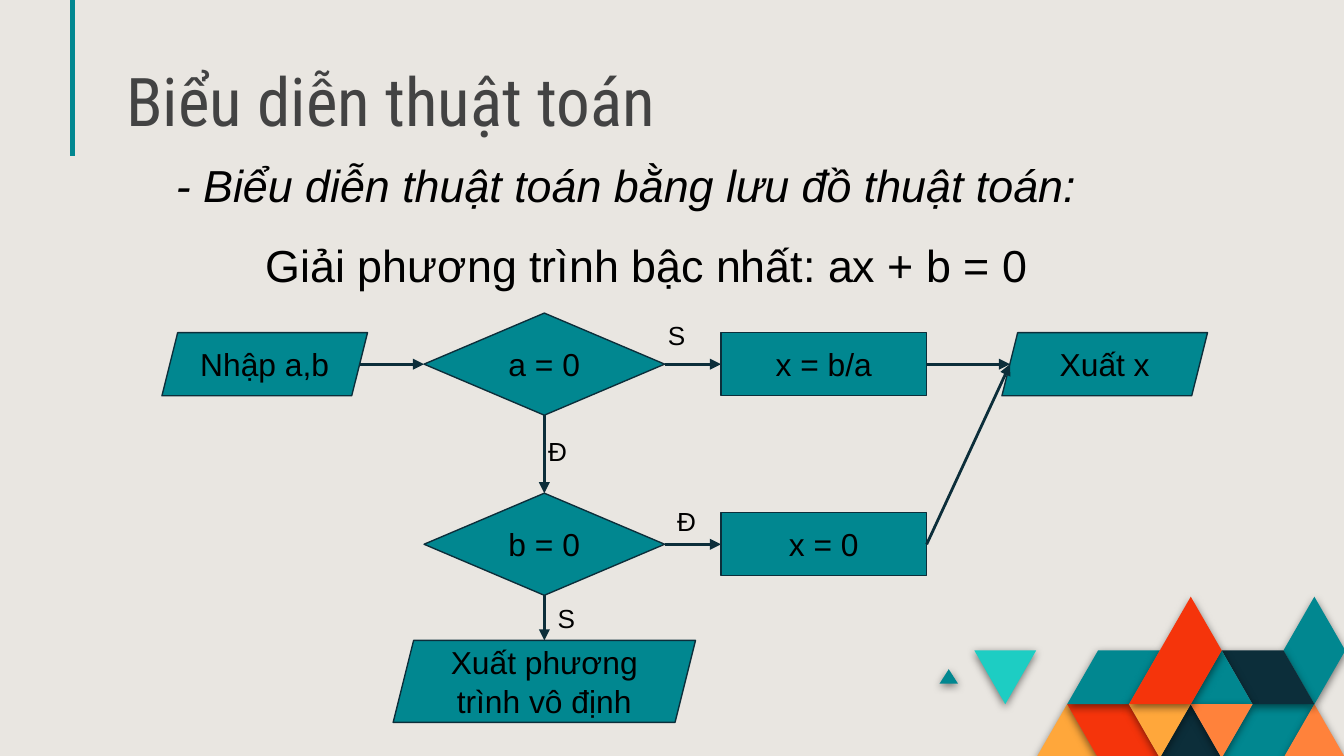
from lxml import etree
from pptx import Presentation, util as u
from pptx.dml.color import RGBColor
from pptx.enum import shapes, text
from pptx.oxml import ns

TEAL = RGBColor(0x01, 0x87, 0x90)
AQUA = RGBColor(0x1D, 0xCD, 0xC3)
NAVY = RGBColor(0x0C, 0x2E, 0x3A)
RED = RGBColor(0xF5, 0x34, 0x0B)
ORANGE = RGBColor(0xFF, 0x82, 0x3B)
AMBER = RGBColor(0xFF, 0xA7, 0x3B)
GREY = RGBColor(0x43, 0x43, 0x43)
BLACK = RGBColor(0, 0, 0)
SAND = RGBColor(0xE9, 0xE6, 0xE1)

# A 16:9 slide
presentation = Presentation()
presentation.slide_width = u.Inches(10)
presentation.slide_height = u.Inches(10) * 9 // 16
slide = presentation.slides.add_slide(presentation.slide_layouts[6])
slide.background.fill.solid()
slide.background.fill.fore_color.rgb = SAND


def add_line(start, end, color, width, arrow=False):
    points = [u.Inches(value) for value in (*start, *end)]
    connector = slide.shapes.add_connector(shapes.MSO_CONNECTOR.STRAIGHT, *points)
    connector.line.color.rgb = color
    connector.line.width = u.Pt(width)
    if arrow:
        line = connector.line._get_or_add_ln()
        etree.SubElement(line, ns.qn("a:tailEnd"), type="triangle")
    etree.SubElement(connector._element.spPr, ns.qn("a:effectLst"))


def set_text(shape, words, size, font="Arial", color=BLACK, align=text.PP_ALIGN.LEFT,
             anchor=text.MSO_ANCHOR.TOP, italic=False):
    frame = shape.text_frame
    frame.text = words
    frame.word_wrap = True
    frame.vertical_anchor = anchor
    frame.margin_left = frame.margin_right = u.Inches(0.1)
    frame.margin_top = frame.margin_bottom = u.Inches(0.1)
    paragraph = frame.paragraphs[0]
    paragraph.alignment = align
    style = paragraph.runs[0].font
    style.name, style.size, style.italic = font, u.Pt(size), italic
    style.color.rgb = color


# Accent line beside the title
add_line((0.54, 0), (0.54, 1.16), TEAL, 2.25)

# Mosaic: corners are (half-triangle column, row) on a triangular grid
HALF, ROW = 0.23, 0.4
MOSAIC_LEFT, MOSAIC_TOP = 7.71, 4.44
mosaic = [
    (AMBER, [(0, 3), (1, 2), (2, 3)]),
    (RED, [(1, 2), (3, 2), (4, 3), (2, 3)]),
    (TEAL, [(6, 3), (7, 2), (9, 2), (8, 3)]),
    (ORANGE, [(8, 3), (9, 2), (10, 3)]),
    (NAVY, [(4, 3), (5, 2), (6, 3)]),
    (TEAL, [(1, 2), (2, 1), (4, 1), (3, 2)]),
    (TEAL, [(-3.13, 1.62), (-2.83, 1.35), (-2.53, 1.62)]),
    (AQUA, [(-2, 1), (0, 1), (-1, 2)]),
    (TEAL, [(8, 1), (9, 0), (10, 1), (9, 2)]),
    (NAVY, [(6, 1), (8, 1), (9, 2), (7, 2)]),
    (TEAL, [(5, 2), (6, 1), (7, 2)]),
    (ORANGE, [(5, 2), (7, 2), (6, 3)]),
    (AMBER, [(3, 2), (5, 2), (4, 3)]),
    (RED, [(3, 2), (5, 0), (6, 1), (5, 2)]),
]
for color, corners in mosaic:
    points = [(u.Inches(MOSAIC_LEFT + column * HALF), u.Inches(MOSAIC_TOP + row * ROW))
              for column, row in corners]
    builder = slide.shapes.build_freeform(*points[0])
    builder.add_line_segments(points[1:], close=True)
    tile = builder.convert_to_shape()
    tile.fill.solid()
    tile.fill.fore_color.rgb = color
    tile.line.fill.background()
    effects = etree.SubElement(tile._element.spPr, ns.qn("a:effectLst"))
    shadow = etree.SubElement(effects, ns.qn("a:outerShdw"), blurRad=str(u.Pt(4.5)),
                              dist=str(u.Pt(1.5)), dir="5400000", algn="bl", rotWithShape="0")
    shade = etree.SubElement(shadow, ns.qn("a:srgbClr"), val="000000")
    etree.SubElement(shade, ns.qn("a:alpha"), val="50000")

# Title, introduction and branch labels
JUSTIFY = text.PP_ALIGN.JUSTIFY
labels = [
    ("Biểu diễn thuật toán", (0.84, 0.51, 5.36, 0.63),
     dict(size=36, font="Roboto Condensed", color=GREY, anchor=text.MSO_ANCHOR.BOTTOM)),
    ("- Biểu diễn thuật toán bằng lưu đồ thuật toán:", (1.21, 1.07, 7.59, 0.6),
     dict(size=24, align=JUSTIFY, italic=True)),
    ("Giải phương trình bậc nhất: ax + b = 0", (1.88, 1.67, 7.59, 0.6),
     dict(size=24, align=JUSTIFY)),
]
for letter, left, top in [("S", 4.87, 2.28), ("Đ", 3.98, 3.14),
                          ("Đ", 4.94, 3.66), ("S", 4.05, 4.38)]:
    labels.append((letter, (left, top, 0.31, 0.43), dict(size=14)))
for words, box, style in labels:
    label = slide.shapes.add_textbox(*[u.Inches(value) for value in box])
    set_text(label, words, **style)

# Flowchart nodes, centred on a grid of columns and rows
COLUMNS = [1.97, 4.05, 6.13, 8.22]
ROWS = [2.71, 4.05, 5.07]
INPUT_OUTPUT = shapes.MSO_SHAPE.PARALLELOGRAM
DECISION = shapes.MSO_SHAPE.FLOWCHART_DECISION
PROCESS = shapes.MSO_SHAPE.RECTANGLE
BOX, DIAMOND, WIDE = (1.53, 0.47), (1.79, 0.76), (2.25, 0.61)
nodes = [
    ("Nhập a,b", INPUT_OUTPUT, 0, 0, BOX),
    ("a = 0", DECISION, 1, 0, DIAMOND),
    ("x = b/a", PROCESS, 2, 0, BOX),
    ("Xuất x", INPUT_OUTPUT, 3, 0, BOX),
    ("b = 0", DECISION, 1, 1, DIAMOND),
    ("x = 0", PROCESS, 2, 1, BOX),
    ("Xuất phương trình vô định", INPUT_OUTPUT, 1, 2, WIDE),
]
for words, kind, column, row, (width, height) in nodes:
    node = slide.shapes.add_shape(
        kind, u.Inches(COLUMNS[column] - width / 2), u.Inches(ROWS[row] - height / 2),
        u.Inches(width), u.Inches(height))
    node.shadow.inherit = False
    node.fill.solid()
    node.fill.fore_color.rgb = TEAL
    node.line.color.rgb = NAVY
    node.line.width = u.Pt(0.75)
    set_text(node, words, 17, align=text.PP_ALIGN.CENTER, anchor=text.MSO_ANCHOR.MIDDLE)

# Arrows between node edges; SLANT is the inset of a parallelogram's side at mid-height
SLANT = 0.06
half_box, half_diamond, half_drop = BOX[0] / 2, DIAMOND[0] / 2, DIAMOND[1] / 2
first, second, third, fourth = COLUMNS
top, middle, bottom = ROWS
output_edge = (fourth - half_box + SLANT, top)
arrows = [
    ((first + half_box - SLANT, top), (second - half_diamond, top)),
    ((second + half_diamond, top), (third - half_box, top)),
    ((third + half_box, top), output_edge),
    ((second, top + half_drop), (second, middle - half_drop)),
    ((second + half_diamond, middle), (third - half_box, middle)),
    ((third + half_box, middle), output_edge),
    ((second, middle + half_drop), (second, bottom - WIDE[1] / 2)),
]
for start, end in arrows:
    add_line(start, end, NAVY, 1.5, arrow=True)

presentation.save("out.pptx")
